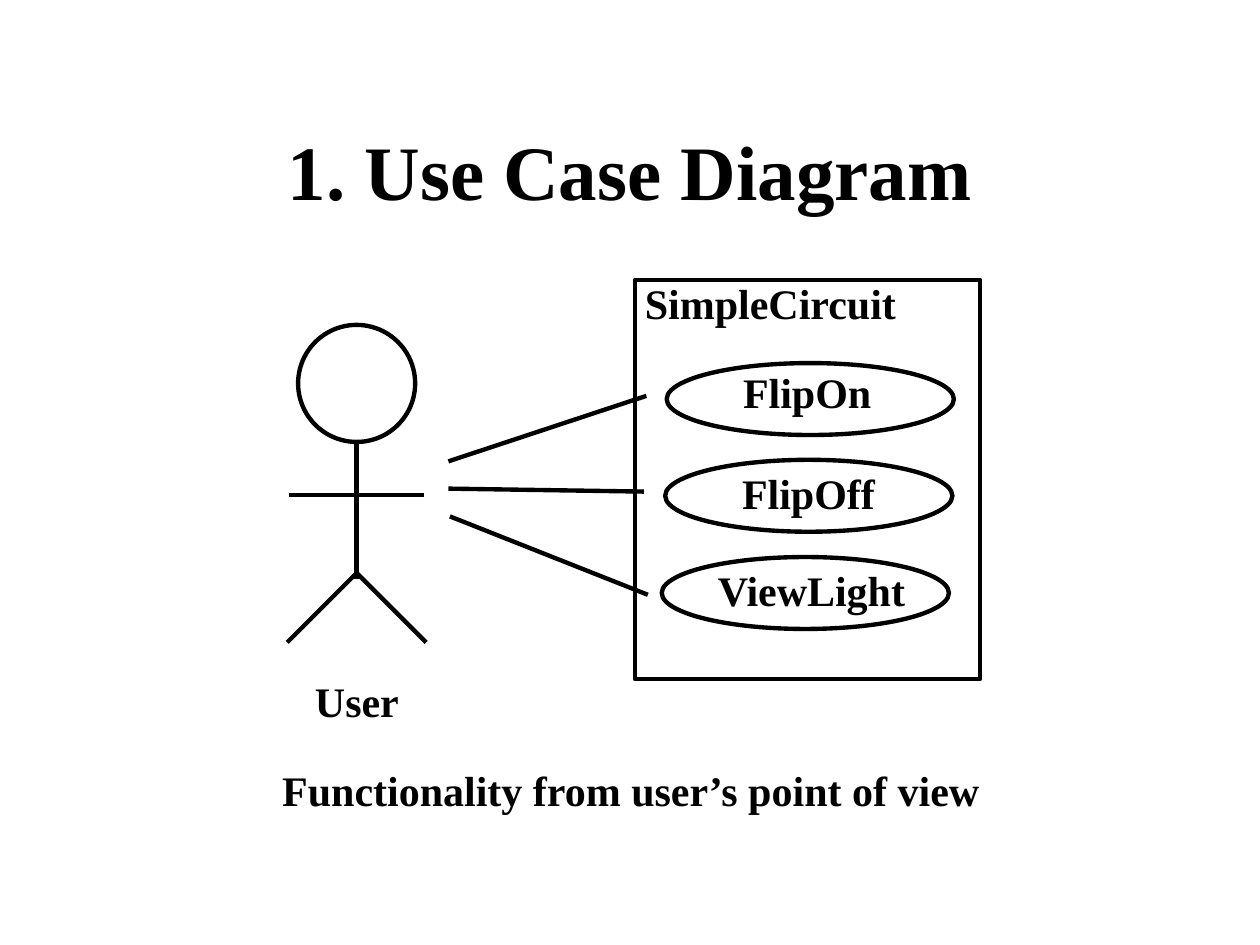
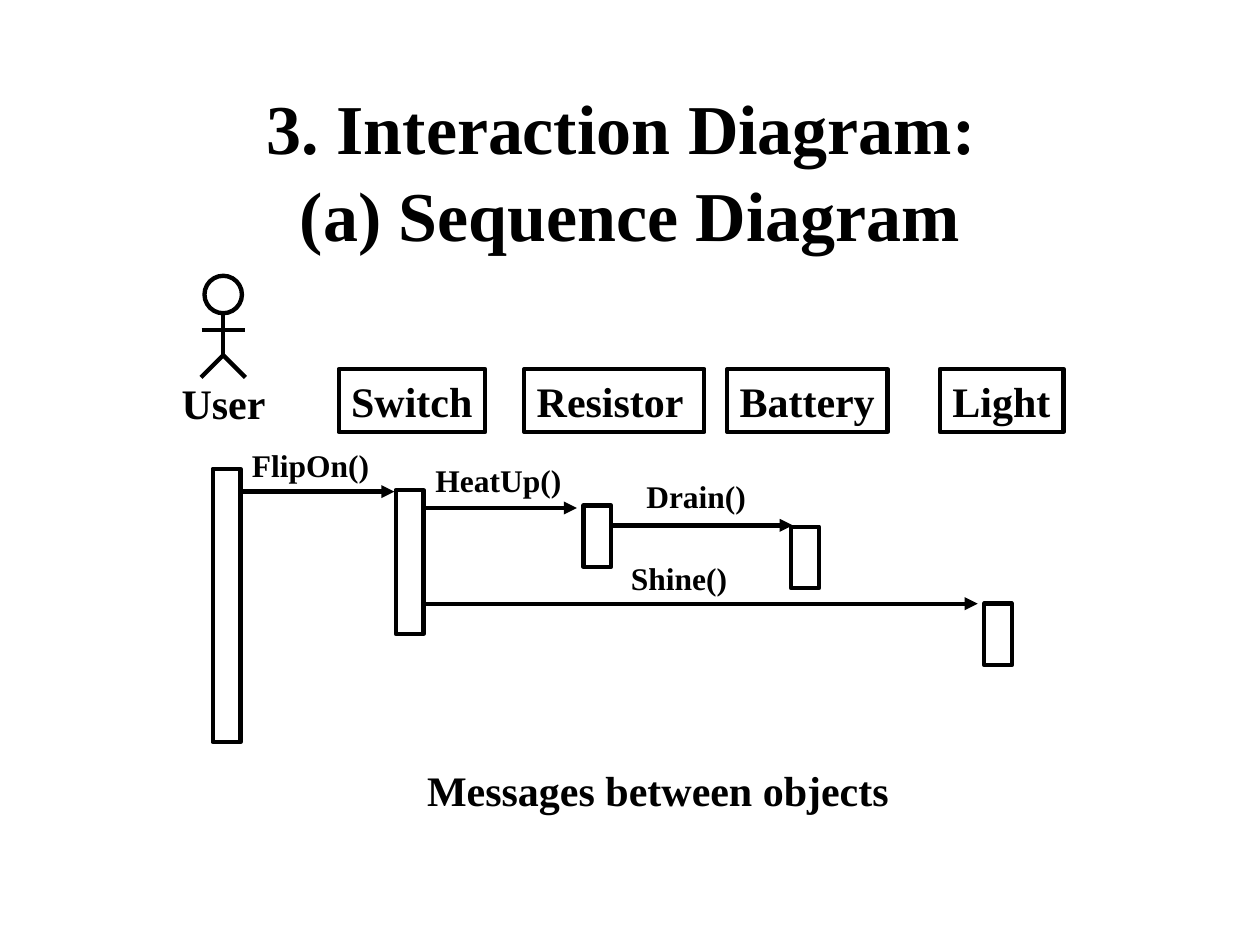
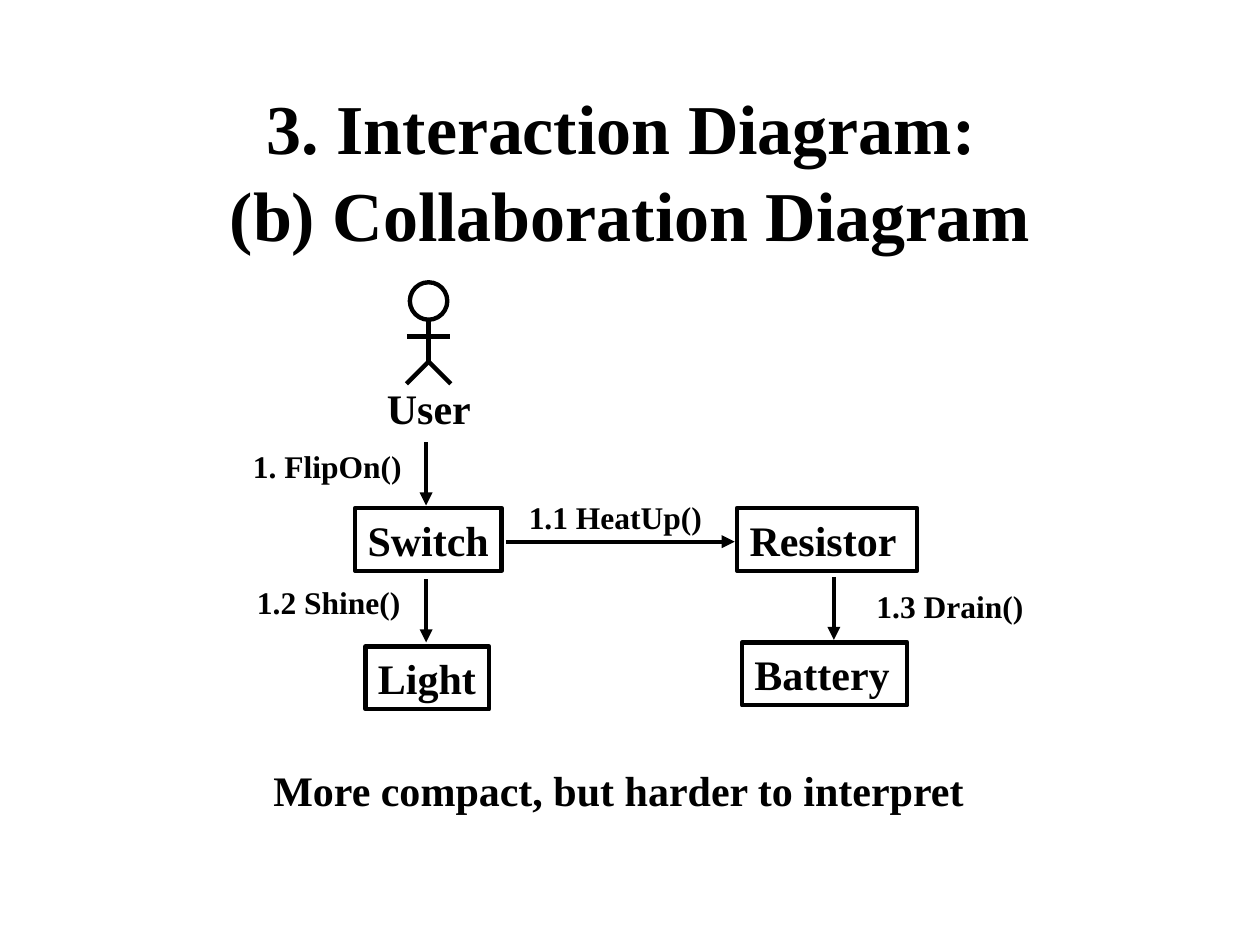
from lxml import etree
from pptx import Presentation
from pptx import util as u
from pptx.dml.color import RGBColor
from pptx.enum import shapes, text
from pptx.oxml import ns

FONT = "Times New Roman"
INK = "000000"
LINE_PT = 2.5
LABEL_H = 1.27
SMALL_H = 1.02
BAR_W = 0.56
RECT = shapes.MSO_SHAPE.RECTANGLE
OVAL = shapes.MSO_SHAPE.OVAL


def color(hex_code):
    return RGBColor.from_string(hex_code)


def cm(*values):
    return [u.Cm(v) for v in values]


# Basic elements; all lengths are in centimetres
def write(shape, words, size, align=text.PP_ALIGN.LEFT):
    tf = shape.text_frame
    tf.word_wrap = True
    tf.vertical_anchor = text.MSO_ANCHOR.TOP
    tf.margin_right = 0
    p = tf.paragraphs[0]
    p.text = words
    p.alignment = align
    p.font.name, p.font.size, p.font.bold = FONT, u.Pt(size), True
    p.font.color.rgb = color(INK)
    return tf


def add_label(s, words, x, y, w, h=LABEL_H, size=24):
    write(s.shapes.add_textbox(*cm(x, y, w, h)), words, size)


def add_message(s, words, x, y, w):
    add_label(s, words, x, y, w, SMALL_H, 18)


def add_outline(parent, kind, x, y, w, h):
    sp = parent.shapes.add_shape(kind, *cm(x, y, w, h))
    sp.shadow.inherit = False
    sp.fill.background()
    sp.line.color.rgb = color(INK)
    sp.line.width = u.Pt(LINE_PT)
    return sp


def add_object(s, name, x, y, w):
    write(add_outline(s, RECT, x, y, w, LABEL_H), name, 24)


def add_line(parent, x1, y1, x2, y2, arrow=False):
    c = parent.shapes.add_connector(shapes.MSO_CONNECTOR.STRAIGHT,
                                    *cm(x1, y1, x2, y2))
    c.line.color.rgb = color(INK)
    c.line.width = u.Pt(LINE_PT)
    if arrow:
        etree.SubElement(c.line._get_or_add_ln(), ns.qn("a:tailEnd"),
                         type="triangle")
    etree.SubElement(c._element.spPr, ns.qn("a:effectLst"))


def add_user(s, x, top, label_y, scale=1.0):
    """Stick figure with its spine at x, labelled below."""
    figure = s.shapes.add_group_shape()
    head = 2.36 * scale
    add_outline(figure, OVAL, x - head / 2, top, head, head)
    for x1, y1, x2, y2 in [(0, 2.31, 0, 5.13),
                           (-1.36, 3.43, 1.36, 3.43),
                           (0, 5, -1.4, 6.4),
                           (0, 5, 1.4, 6.4)]:
        add_line(figure, x + x1 * scale, top + y1 * scale,
                 x + x2 * scale, top + y2 * scale)
    add_label(s, "User", x - 1.09, label_y, 2.18)


def new_slide(prs, title, size, caption, caption_x, caption_w):
    s = prs.slides.add_slide(prs.slide_layouts[6])
    box = s.shapes.add_textbox(*cm(1.9, 1.7, 21.6, 3.18))
    tf = write(box, title, size, text.PP_ALIGN.CENTER)
    tf.vertical_anchor = text.MSO_ANCHOR.MIDDLE
    tf.margin_left = 0
    tf.margin_top, tf.margin_bottom = cm(0.3, 0.1)
    tf.paragraphs[0].line_spacing = 1.04
    add_label(s, caption, caption_x, 15.29, caption_w)
    return s


# Slides
def use_case_slide(prs):
    s = new_slide(prs, "1. Use Case Diagram", 44,
                  "Functionality from user’s point of view", 5.44, 14.58)
    add_outline(s, RECT, 12.8, 5.64, 6.96, 8.05)
    add_label(s, "SimpleCircuit", 12.75, 5.46, 5.59)
    add_user(s, 7.19, 6.55, 13.49)

    # name, text x, text y, oval x, oval y
    for name, text_x, text_y, oval_x, oval_y in [
            ("FlipOn", 14.73, 7.26, 13.44, 7.32),
            ("FlipOff", 14.71, 9.3, 13.41, 9.27),
            ("ViewLight", 14.22, 11.25, 13.34, 11.23)]:
        add_label(s, name, text_x, text_y, 4.32)
        add_outline(s, OVAL, oval_x, oval_y, 5.79, 1.45)

    for ends in [(9.04, 9.3, 13.03, 7.98),
                 (9.04, 9.85, 12.98, 9.91),
                 (9.07, 10.41, 13.06, 11.99)]:
        add_line(s, *ends)


def sequence_slide(prs):
    s = new_slide(prs, "3. Interaction Diagram: \v(a) Sequence Diagram", 40,
                  "Messages between objects", 8.36, 9.8)
    add_user(s, 4.5, 5.56, 7.49, 0.32)
    for name, x, w in [("Switch", 6.83, 2.95), ("Resistor", 10.57, 3.63),
                       ("Battery", 14.66, 3.23), ("Light", 18.95, 2.49)]:
        add_object(s, name, x, 7.44, w)

    # Activation bars: x, y, height
    for x, y, h in [(4.29, 9.45, 5.51), (7.98, 9.88, 2.9),
                    (11.76, 10.19, 1.24), (15.95, 10.62, 1.24),
                    (19.84, 12.17, 1.24)]:
        add_outline(s, RECT, x, y, BAR_W, h)

    # Messages: arrow start, arrow end, arrow y, text x, text y, text width
    for name, x1, x2, y, text_x, text_y, w in [
            ("FlipOn()", 4.83, 7.95, 9.91, 4.83, 8.86, 2.87),
            ("HeatUp()", 8.53, 11.63, 10.24, 8.53, 9.17, 3.05),
            ("Drain()", 12.32, 15.98, 10.59, 12.78, 9.5, 2.51),
            ("Shine()", 8.53, 19.71, 12.17, 12.47, 11.15, 2.44)]:
        add_line(s, x1, y, x2, y, arrow=True)
        add_message(s, name, text_x, text_y, w)


def collaboration_slide(prs):
    s = new_slide(prs, "3. Interaction Diagram: \v(b) Collaboration Diagram",
                  40, "More compact, but harder to interpret", 5.26, 14.48)
    add_user(s, 8.64, 5.69, 7.59, 0.32)
    for name, x, y, w in [("Switch", 7.16, 10.24, 2.95),
                          ("Resistor", 14.86, 10.24, 3.63),
                          ("Light", 7.37, 13.03, 2.49),
                          ("Battery", 14.96, 12.95, 3.33)]:
        add_object(s, name, x, y, w)

    # Messages: text x, y and width, then the arrow's ends
    for name, x, y, w, ends in [
            ("1. FlipOn()", 4.85, 8.89, 3.51, (8.59, 8.92, 8.59, 10.19)),
            ("1.1 HeatUp()", 10.41, 9.91, 3.99, (10.21, 10.92, 14.81, 10.92)),
            ("1.2 Shine()", 4.93, 11.63, 3.4, (8.59, 11.68, 8.59, 12.95)),
            ("1.3 Drain()", 17.42, 11.71, 3.45, (16.81, 11.63, 16.81, 12.9))]:
        add_message(s, name, x, y, w)
        add_line(s, *ends, arrow=True)


def main():
    prs = Presentation()
    prs.slide_width, prs.slide_height = cm(25.4, 19.05)
    use_case_slide(prs)
    sequence_slide(prs)
    collaboration_slide(prs)
    prs.save("out.pptx")


if __name__ == "__main__":
    main()
